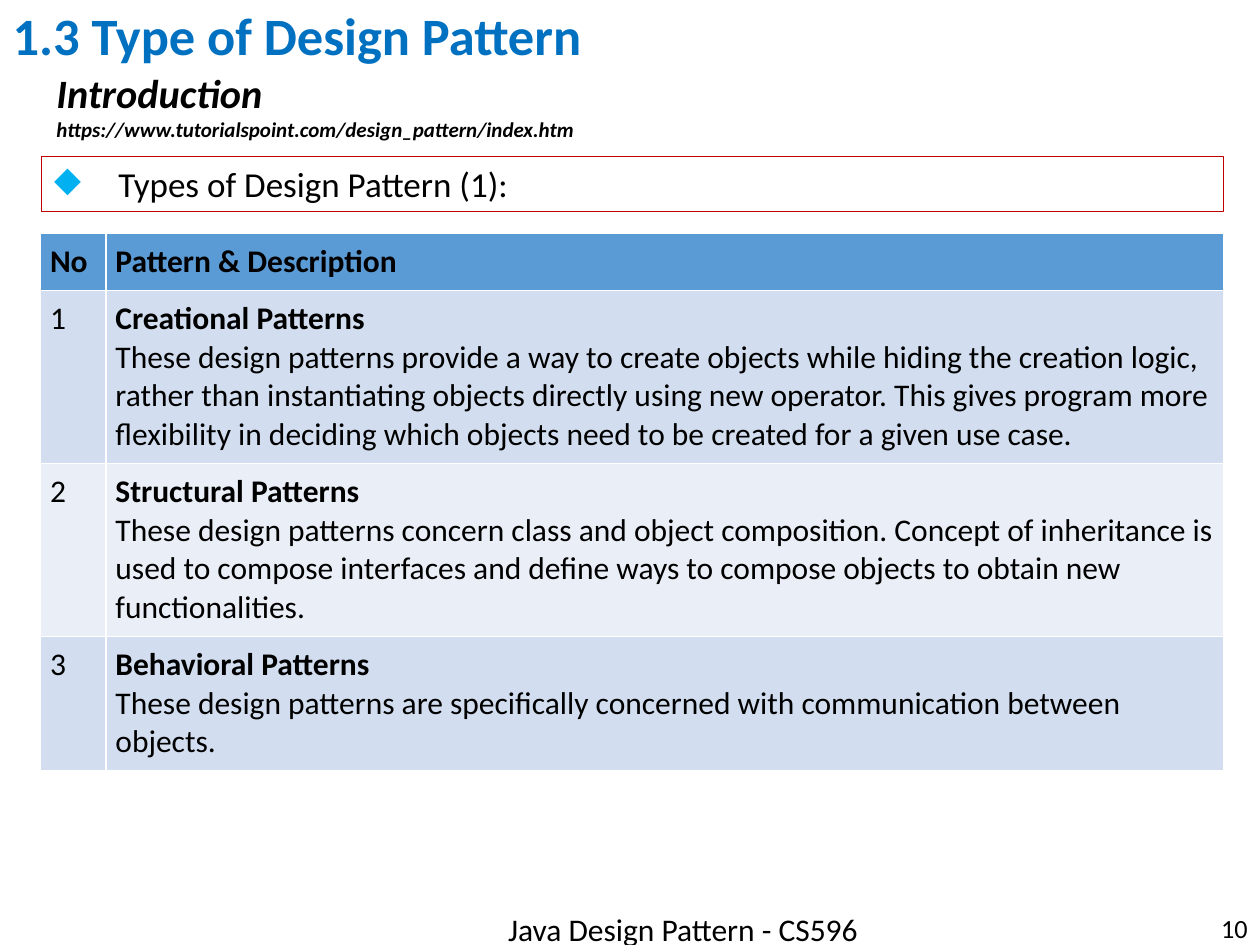
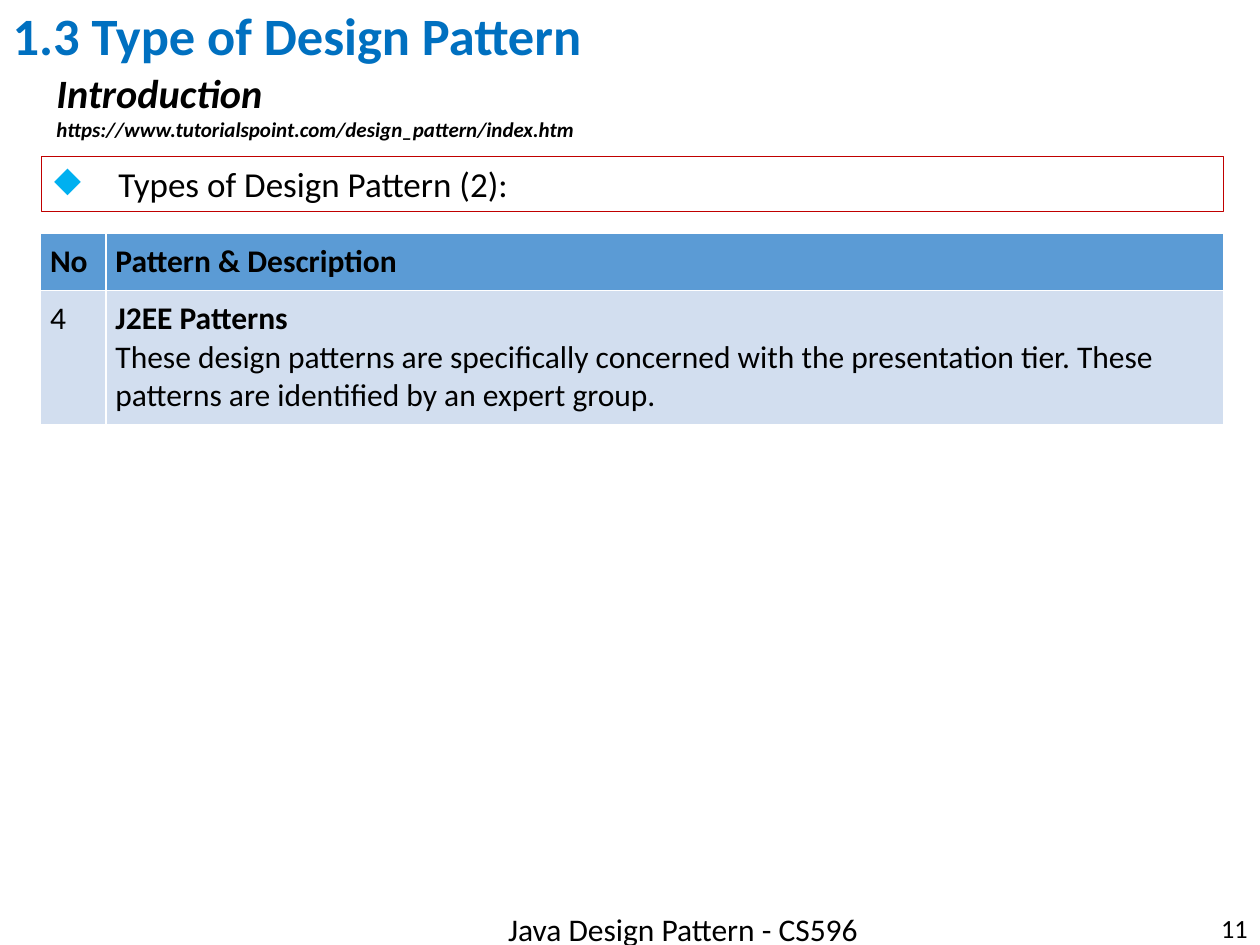
from lxml import etree
from pptx import Presentation
from pptx.dml.color import RGBColor
from pptx.enum import shapes, text
from pptx.oxml import ns
from pptx.util import Pt

FONT = "Calibri"
BLACK, TITLE_BLUE, BULLET_BLUE = "000000", "0070C0", "00B0F0"
BOX_RED, HEADER_BLUE = "C00000", "5B9BD5"
BANDS = ["D2DEEF", "EAEFF7"]
LINE_HEIGHT, CELL_MARGIN = 22, 5.4

# Each row: number, pattern, description, lines of text in the row
SLIDES = [
    (10, "Types of Design Pattern (1):", [
        ("1", "Creational Patterns",
         "These design patterns provide a way to create objects while hiding the "
         "creation logic, rather than instantiating objects directly using new "
         "operator. This gives program more flexibility in deciding which objects "
         "need to be created for a given use case.", 4),
        ("2", "Structural Patterns",
         "These design patterns concern class and object composition. Concept of "
         "inheritance is used to compose interfaces and define ways to compose "
         "objects to obtain new functionalities.", 4),
        ("3", "Behavioral Patterns",
         "These design patterns are specifically concerned with communication "
         "between objects.", 3),
    ]),
    (11, "Types of Design Pattern (2):", [
        ("4", "J2EE Patterns",
         "These design patterns are specifically concerned with the presentation "
         "tier. These patterns are identified by an expert group.", 3),
    ]),
]


def rgb(code):
    return RGBColor.from_string(code)


def style(p, size, color=BLACK, bold=False, italic=False):
    """Format every run of a paragraph."""
    for r in p.runs:
        f = r.font
        f.name, f.size, f.bold, f.italic = FONT, Pt(size), bold, italic
        f.color.rgb = rgb(color)


prs = Presentation()
prs.slide_width, prs.slide_height = Pt(720), Pt(540)

for number, topic, patterns in SLIDES:
    s = prs.slides.add_slide(prs.slide_layouts[5])

    # Title
    title = s.shapes.title
    title.left, title.top, title.width, title.height = Pt(0), Pt(-2), Pt(720), Pt(47.5)
    tf = title.text_frame
    tf.text = "1.3 Type of Design Pattern"
    tf.auto_size = text.MSO_AUTO_SIZE.NONE
    tf.vertical_anchor = text.MSO_ANCHOR.MIDDLE
    p = tf.paragraphs[0]
    p.alignment, p.line_spacing = text.PP_ALIGN.LEFT, 0.9
    style(p, 30, TITLE_BLUE, bold=True)

    # Subtitle and source link
    tf = s.shapes.add_textbox(Pt(25.2), Pt(35.3), Pt(458.6), Pt(49.7)).text_frame
    tf.word_wrap = True
    tf.text = "Introduction\nhttps://www.tutorialspoint.com/design_pattern/index.htm"
    for p, size in zip(tf.paragraphs, (23, 12)):
        style(p, size, bold=True, italic=True)

    # Footer and page number
    for left, top, width, words, size, align, anchor in [
        (221.8, 516.2, 337, "Java Design Pattern - CS596", 18,
         text.PP_ALIGN.CENTER, text.MSO_ANCHOR.TOP),
        (558, 515.5, 162, str(number), 15,
         text.PP_ALIGN.RIGHT, text.MSO_ANCHOR.MIDDLE),
    ]:
        tf = s.shapes.add_textbox(Pt(left), Pt(top), Pt(width), Pt(29)).text_frame
        tf.word_wrap = True
        tf.vertical_anchor = anchor
        tf.text = words
        tf.paragraphs[0].alignment = align
        style(tf.paragraphs[0], size)

    # Topic box
    box = s.shapes.add_shape(shapes.MSO_SHAPE.RECTANGLE,
                             Pt(23.8), Pt(89.3), Pt(675.4), Pt(31.7))
    box.shadow.inherit = False
    box.fill.background()
    box.line.color.rgb = rgb(BOX_RED)
    box.line.width = Pt(0.75)
    tf = box.text_frame
    tf.word_wrap = True
    tf.vertical_anchor = text.MSO_ANCHOR.TOP
    tf.text = topic
    p = tf.paragraphs[0]
    p.alignment = text.PP_ALIGN.LEFT
    pPr = p._p.get_or_add_pPr()
    pPr.set("marL", str(Pt(36.7)))
    pPr.set("indent", str(Pt(-36.7)))
    color = etree.SubElement(pPr, ns.qn("a:buClr"))
    etree.SubElement(color, ns.qn("a:srgbClr")).set("val", BULLET_BLUE)
    etree.SubElement(pPr, ns.qn("a:buChar")).set("char", "◆")
    style(p, 20)

    # Pattern table; the default table style draws the white borders
    line_counts = [1] + [row[3] for row in patterns]
    heights = [LINE_HEIGHT * n + 2 * CELL_MARGIN for n in line_counts]
    table = s.shapes.add_table(len(heights), 2, Pt(23.2), Pt(133.2),
                               Pt(676), Pt(sum(heights))).table
    for column, width in zip(table.columns, (37.4, 638.6)):
        column.width = Pt(width)
    for row, height in zip(table.rows, heights):
        row.height = Pt(height)

    table.cell(0, 0).text = "No"
    table.cell(0, 1).text = "Pattern & Description"
    for i, (no, name, description, _) in enumerate(patterns, 1):
        table.cell(i, 0).text = no
        p = table.cell(i, 1).text_frame.paragraphs[0]
        p.add_run().text = name
        p.add_line_break()
        p.add_run().text = description

    for i, row in enumerate(table.rows):
        for j, cell in enumerate(row.cells):
            cell.margin_left = cell.margin_right = Pt(CELL_MARGIN)
            cell.margin_top = cell.margin_bottom = Pt(CELL_MARGIN)
            cell.fill.solid()
            cell.fill.fore_color.rgb = rgb(BANDS[(i - 1) % 2] if i else HEADER_BLUE)
            p = cell.text_frame.paragraphs[0]
            style(p, 18, bold=i == 0)
            if j == 1:
                p.runs[0].font.bold = True

prs.save("out.pptx")
